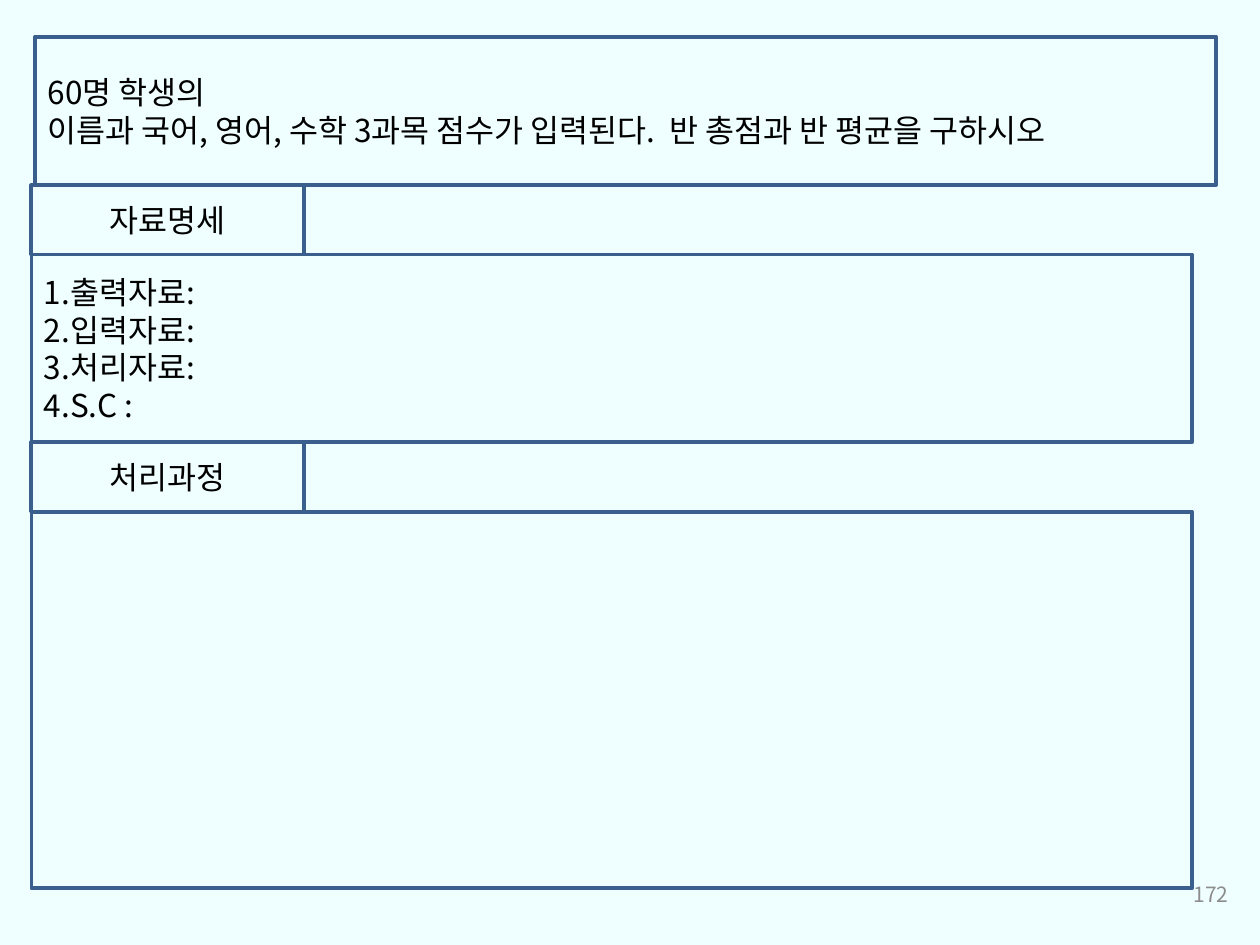
from pptx import Presentation
from pptx.dml.color import RGBColor
from pptx.enum.shapes import MSO_SHAPE as Shape
from pptx.enum.text import MSO_ANCHOR as Anchor, PP_ALIGN as Align
from pptx.oxml.ns import qn
from pptx.util import Inches, Pt

# Content
PROBLEM = ["60명 학생의",
           "이름과 국어, 영어, 수학 3과목 점수가 입력된다.  반 총점과 반 평균을 구하시오"]
# Heading, body lines, body height
SECTIONS = [
    ("자료명세", ["1.출력자료:", "2.입력자료:", "3.처리자료:", "4.S.C :"], 1.49),
    ("처리과정", [], 2.99),
]
PAGE_NUMBER = "172"

# Style and layout, in inches
FONT = "Noto Sans CJK KR"
PAPER, BORDER, INK, MUTED = "EFFEFE", "3A5F8C", "000000", "8C8C8C"
SLIDE_W, SLIDE_H = 10, 7.5
PROBLEM_BOX = (0.28, 0.29, 9.37, 1.18)
LEFT, HEADING_W, HEADING_H, BODY_W = 0.25, 2.16, 0.55, 9.21
NUMBER_BOX = (7.52, 6.9, 2.33, 0.4)


def color(value):
    return RGBColor.from_string(value)


def write(box, lines, align=Align.LEFT, size=18, ink=INK):
    frame = box.text_frame
    frame.word_wrap = True
    frame.vertical_anchor = Anchor.MIDDLE
    for i, line in enumerate(lines):
        paragraph = frame.add_paragraph() if i else frame.paragraphs[0]
        paragraph.alignment = align
        paragraph.line_spacing = Pt(round(size * 1.19, 1))
        run = paragraph.add_run()
        run.text = line
        run.font.size = Pt(size)
        run.font.name = FONT
        run.font.color.rgb = color(ink)
        # Hangul takes the East Asian typeface
        east_asian = run.font._element.makeelement(qn("a:ea"), {"typeface": FONT})
        run.font._element.find(qn("a:latin")).addnext(east_asian)


def add_frame(slide, area, lines, align=Align.LEFT):
    frame = slide.shapes.add_shape(Shape.RECTANGLE, *map(Inches, area))
    frame.shadow.inherit = False
    frame.fill.background()
    frame.line.color.rgb = color(BORDER)
    frame.line.width = Pt(2.25)
    write(frame, lines, align)


def main():
    deck = Presentation()
    deck.slide_width, deck.slide_height = Inches(SLIDE_W), Inches(SLIDE_H)
    slide = deck.slides.add_slide(deck.slide_layouts[6])
    slide.background.fill.solid()
    slide.background.fill.fore_color.rgb = color(PAPER)

    # Page number
    number = slide.shapes.add_textbox(*map(Inches, NUMBER_BOX))
    write(number, [PAGE_NUMBER], Align.RIGHT, 12, MUTED)

    # Problem statement
    add_frame(slide, PROBLEM_BOX, PROBLEM)

    # Sections stacked below it
    top = PROBLEM_BOX[1] + PROBLEM_BOX[3]
    for heading, body, body_h in SECTIONS:
        add_frame(slide, (LEFT, top, HEADING_W, HEADING_H), [heading], Align.CENTER)
        top += HEADING_H
        add_frame(slide, (LEFT, top, BODY_W, body_h), body)
        top += body_h

    deck.save("out.pptx")


if __name__ == "__main__":
    main()
